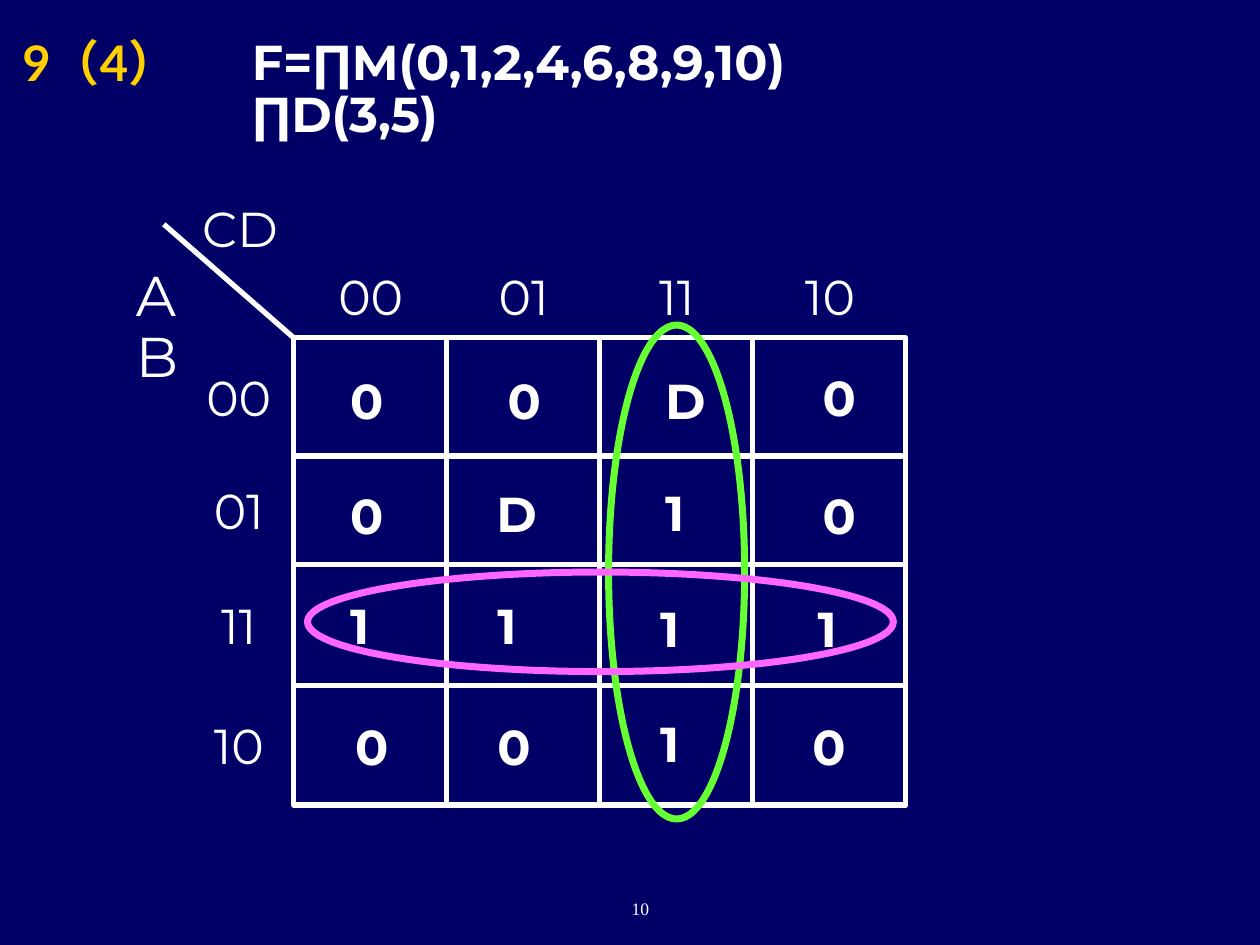
from pptx import Presentation
from pptx.dml.color import RGBColor
from pptx.enum.shapes import MSO_CONNECTOR, MSO_SHAPE
from pptx.enum.text import MSO_ANCHOR, PP_ALIGN
from pptx.oxml import parse_xml
from pptx.oxml.ns import nsdecls
from pptx.util import Inches, Pt

NAVY, WHITE, GOLD, GREEN, PINK = "000066", "FFFFFF", "FFCF01", "66FF33", "FF66FF"
FONT = "Montserrat"

CODES = ["00", "01", "11", "10"]
COLUMN_EDGES = [2.33 + 1.215 * column for column in range(5)]
ROW_EDGES = [2.68, 3.62, 4.48, 5.44, 6.39]
HEADER_TOP, HEADER_LEFT = 2.02, 1.45
VALUES = [
    [("0", 2.68, 2.94), ("0", 3.93, 2.94), ("D", 5.18, 2.94), ("0", 6.43, 2.92)],
    [("0", 2.68, 3.86), ("D", 3.84, 3.84), ("1", 5.18, 3.83), ("0", 6.43, 3.86)],
    [("1", 2.68, 4.73), ("1", 3.85, 4.73), ("1", 5.14, 4.75), ("1", 6.39, 4.75)],
    [("0", 2.72, 5.69), ("0", 3.85, 5.69), ("1", 5.14, 5.67), ("0", 6.35, 5.69)],
]
LOOPS = [(GREEN, 4.83, 2.58, 1.08, 3.92), (PINK, 2.44, 4.54, 4.65, 0.79)]


def color(value):
    return RGBColor.from_string(value)


def add_text(page, text, left, top, width, height, size=28, font=FONT, fill=WHITE,
             bold=False, align=PP_ALIGN.LEFT, anchor=MSO_ANCHOR.TOP,
             spacing=None, before=0):
    box = page.shapes.add_textbox(*map(Inches, (left, top, width, height)))
    frame = box.text_frame
    frame.word_wrap = True
    frame.vertical_anchor = anchor
    para = frame.paragraphs[0]
    para.text = text
    para.alignment = align
    para.space_before = Pt(before)
    if spacing:
        para.line_spacing = spacing
    para.font.size = Pt(size)
    para.font.name = font
    para.font.bold = bold
    para.font.color.rgb = color(fill)
    return frame


def add_header(page, text, left, top, width, height):
    frame = add_text(page, text, left, top, width, height, before=7,
                     align=PP_ALIGN.CENTER, anchor=MSO_ANCHOR.MIDDLE)
    frame.margin_left = Inches(0.01)
    frame.margin_right = frame.margin_top = frame.margin_bottom = 0


def add_outline(page, kind, left, top, width, height, line, weight):
    shape = page.shapes.add_shape(kind, *map(Inches, (left, top, width, height)))
    shape.shadow.inherit = False
    shape.fill.background()
    shape.line.color.rgb = color(line)
    shape.line.width = Pt(weight)


def add_map(page):
    columns = list(zip(COLUMN_EDGES, COLUMN_EDGES[1:]))
    rows = list(zip(ROW_EDGES, ROW_EDGES[1:]))
    for top, bottom in rows:
        for left, right in columns:
            add_outline(page, MSO_SHAPE.RECTANGLE, left, top,
                        right - left, bottom - top, WHITE, 3)
    for code, (left, right) in zip(CODES, columns):
        add_header(page, code, left, HEADER_TOP, right - left, ROW_EDGES[0] - HEADER_TOP)
    for code, (top, bottom) in zip(CODES, rows):
        add_header(page, code, HEADER_LEFT, top, COLUMN_EDGES[0] - HEADER_LEFT, bottom - top)

    add_header(page, "CD", 1.15, 1.5, 1.5, 0.62)
    add_text(page, "AB", 0.98, 2.08, 0.77, 0.58, size=32, spacing=0.9, before=8)
    diagonal = page.shapes.add_connector(
        MSO_CONNECTOR.STRAIGHT, Inches(1.3), Inches(1.78),
        Inches(COLUMN_EDGES[0]), Inches(ROW_EDGES[0]))
    diagonal.line.color.rgb = color(WHITE)
    diagonal.line.width = Pt(3)
    diagonal._element.spPr.append(parse_xml(f"<a:effectLst {nsdecls('a')}/>"))

    for row in VALUES:
        for value, left, top in row:
            width = 0.49 if value == "D" else 0.43
            add_text(page, value, left, top, width, 0.52, bold=True, spacing=0.9, before=7)
    for line, *place in LOOPS:
        add_outline(page, MSO_SHAPE.OVAL, *place, line, 4)


def main():
    deck = Presentation()
    deck.slide_width, deck.slide_height = Inches(10), Inches(7.5)
    page = deck.slides.add_slide(deck.slide_layouts[6])
    page.background.fill.solid()
    page.background.fill.fore_color.rgb = color(NAVY)

    add_text(page, "9（4）", 0.08, 0.08, 3.92, 0.69, font="Lato", fill=GOLD,
             bold=True, anchor=MSO_ANCHOR.BOTTOM)
    add_text(page, "F=∏M(0,1,2,4,6,8,9,10) ∏D(3,5)", 1.9, 0.25, 5.85, 0.52,
             bold=True, spacing=0.9, before=7)
    add_map(page)
    add_text(page, "10", 4.5, 7.08, 0.75, 0.25, size=10, font="Times New Roman",
             align=PP_ALIGN.RIGHT)
    deck.save("out.pptx")


if __name__ == "__main__":
    main()
